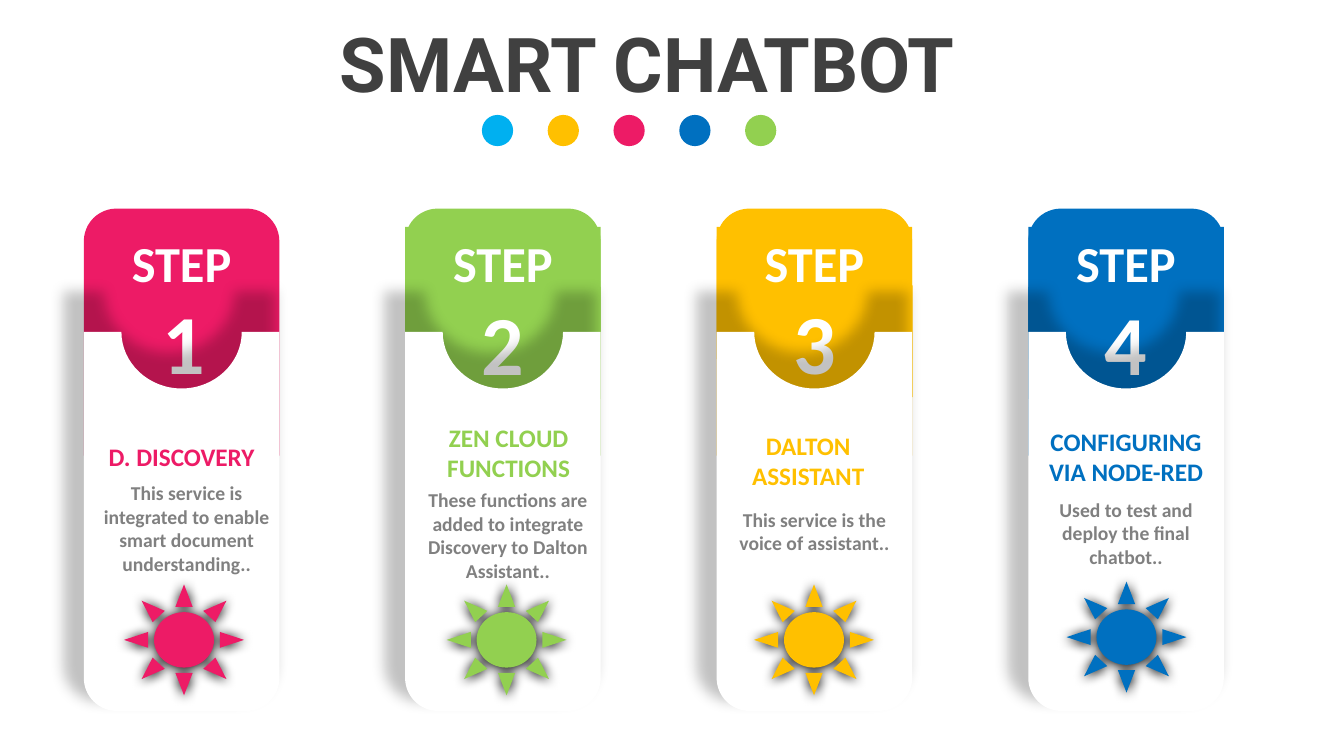
from collections import namedtuple

from lxml import etree
from pptx import Presentation
from pptx.dml.color import RGBColor
from pptx.enum.shapes import MSO_SHAPE
from pptx.enum.text import MSO_ANCHOR, PP_ALIGN
from pptx.oxml.ns import qn
from pptx.util import Pt

OVAL, RECTANGLE, SUN = MSO_SHAPE.OVAL, MSO_SHAPE.RECTANGLE, MSO_SHAPE.SUN
ROUND_TOP = MSO_SHAPE.ROUND_2_SAME_RECTANGLE
CENTER, TOP = PP_ALIGN.CENTER, MSO_ANCHOR.TOP

PINK = RGBColor(0xED, 0x1B, 0x66)
GREEN = RGBColor(0x92, 0xD0, 0x50)
AMBER = RGBColor(0xFF, 0xC0, 0x00)
BLUE = RGBColor(0x00, 0x70, 0xC0)
SKY = RGBColor(0x00, 0xB0, 0xF0)
WHITE = RGBColor(0xFF, 0xFF, 0xFF)
GREY = RGBColor(0x80, 0x80, 0x80)
DARK = RGBColor(0x40, 0x40, 0x40)

CARD_WIDTH = 139.7
PANEL_TOP, PANEL_BOTTOM = 237, 507.8
NOTCH_WIDTH, NOTCH_DEPTH, CORNER = 43, 40.5, 23.5
ROUNDNESS = 0.55  # control point distance of a quarter circle, in radii
UNITS = 100  # outline units in a point

# Positions are in points: (left, top) for the texts and the sun
Step = namedtuple("Step", "left color heading heading_at body body_at sun_at "
                          "number_at filled")
STEPS = [
    Step(59.9, PINK, "D. DISCOVERY", (59.9, 312),
         "This service is integrated to enable smart document understanding..",
         (63.5, 340), (88.6, 417.5), (61.2, 203.8), False),
    Step(289.4, GREEN, "ZEN CLOUD FUNCTIONS", (293.5, 298),
         "These functions are added to integrate Discovery to Dalton Assistant..",
         (293, 345), (319, 417.5), (289.4, 205), True),
    Step(511.9, AMBER, "DALTON ASSISTANT", (507.5, 304),
         "This service is the voice of assistant..",
         (512, 359), (538.6, 417.5), (512.3, 203.8), True),
    Step(734.5, BLUE, "CONFIGURING VIA NODE-RED", (734.5, 301),
         "Used to test and deploy the final chatbot..",
         (734.5, 352), (761.8, 415.5), (734.5, 205), True),
]


def set_text(shape, text, size, color, font="Calibri"):
    frame = shape.text_frame
    frame.text = text
    frame.word_wrap = True
    frame.vertical_anchor = TOP
    paragraph = frame.paragraphs[0]
    paragraph.alignment = CENTER
    run_font = paragraph.runs[0].font
    run_font.name, run_font.size, run_font.bold = font, Pt(size), True
    run_font.color.rgb = color


def paint(shape, color):
    shape.shadow.inherit = False
    shape.fill.solid()
    shape.fill.fore_color.rgb = color
    shape.line.fill.background()


def add_filled(slide, kind, left, top, width, height, color):
    shape = slide.shapes.add_shape(kind, Pt(left), Pt(top), Pt(width), Pt(height))
    paint(shape, color)
    return shape


def add_label(slide, position, height, text, size, color, fill=None):
    """Add centred text of card width, on a filled box if a fill is given."""
    left, top = position
    if fill is None:
        shape = slide.shapes.add_textbox(Pt(left), Pt(top), Pt(CARD_WIDTH), Pt(height))
    else:
        shape = add_filled(slide, RECTANGLE, left, top, CARD_WIDTH, height, fill)
    set_text(shape, text, size, color)


def add_shadow(shape, blur, opacity, distance, **settings):
    effects = shape._element.spPr.find(qn("a:effectLst"))
    shadow = etree.SubElement(effects, qn("a:outerShdw"), blurRad=str(Pt(blur)),
                              dist=str(Pt(distance)), rotWithShape="0", **settings)
    color = etree.SubElement(shadow, qn("a:srgbClr"), val="000000")
    etree.SubElement(color, qn("a:alpha"), val=str(opacity * 1000))


def quarter(start, corner, end):
    """Return the curve points after start, rounding the given corner."""
    controls = [tuple(p + (c - p) * ROUNDNESS for p, c in zip(point, corner))
                for point in (start, end)]
    return controls + [end]


def bend(shape, first_points):
    """Turn three line segments from each given index into one curve."""
    lines = list(shape._element.iter(qn("a:lnTo")))
    for first in first_points:
        curve = etree.Element(qn("a:cubicBezTo"))
        lines[first].addprevious(curve)
        for line in lines[first:first + 3]:
            curve.append(line[0])
            line.getparent().remove(line)


def add_panel(slide, left):
    """Add the white panel with a round notch and two round lower corners."""
    right, middle = left + CARD_WIDTH, left + CARD_WIDTH / 2
    notch_left, notch_right = middle - NOTCH_WIDTH, middle + NOTCH_WIDTH
    notch_bottom, corner_y = PANEL_TOP + NOTCH_DEPTH, PANEL_BOTTOM - CORNER
    points = [
        (left, PANEL_TOP), (notch_left, PANEL_TOP),
        *quarter((notch_left, PANEL_TOP), (notch_left, notch_bottom),
                 (middle, notch_bottom)),
        *quarter((middle, notch_bottom), (notch_right, notch_bottom),
                 (notch_right, PANEL_TOP)),
        (right, PANEL_TOP), (right, corner_y),
        *quarter((right, corner_y), (right, PANEL_BOTTOM),
                 (right - CORNER, PANEL_BOTTOM)),
        (left + CORNER, PANEL_BOTTOM),
        *quarter((left + CORNER, PANEL_BOTTOM), (left, PANEL_BOTTOM),
                 (left, corner_y)),
    ]
    start, *others = [(round(x * UNITS), round(y * UNITS)) for x, y in points]
    builder = slide.shapes.build_freeform(*start, scale=Pt(1) / UNITS)
    builder.add_line_segments(others, close=True)
    panel = builder.convert_to_shape()
    bend(panel, [1, 4, 9, 13])
    paint(panel, WHITE)
    add_shadow(panel, 10, 23, 8, dir="14700000", sx="108000", sy="108000", algn="br")


def add_step(slide, number, step):
    # Coloured head
    box_fill = step.color if step.filled else None
    add_filled(slide, ROUND_TOP, step.left, 149, CARD_WIDTH, 176.5, step.color)
    add_label(slide, (step.left, 162), 94.5, "STEP", 36, WHITE, box_fill)
    add_label(slide, step.number_at, 80, str(number), 60, WHITE, box_fill)
    # Panel with its texts
    add_panel(slide, step.left)
    add_label(slide, step.heading_at, 51, step.heading, 18, step.color)
    add_label(slide, step.body_at, 75, step.body, 14, GREY)
    # Sun
    sun = add_filled(slide, SUN, *step.sun_at, 85.7, 79.2, step.color)
    add_shadow(sun, 8.5, 100, 1, dir="5400000", algn="t")


def add_title(slide):
    title = slide.shapes.title
    title.left, title.top, title.width, title.height = Pt(195), Pt(8.5), Pt(535), Pt(73)
    set_text(title, "SMART CHATBOT", 54, DARK, "Roboto")


def main():
    presentation = Presentation()
    presentation.slide_width, presentation.slide_height = Pt(960), Pt(540)
    slide = presentation.slides.add_slide(presentation.slide_layouts[5])

    add_title(slide)
    for index, color in enumerate([SKY, AMBER, PINK, BLUE, GREEN]):
        add_filled(slide, OVAL, 344.2 + 47 * index, 82.1, 22.3, 22.3, color)
    for number, step in enumerate(STEPS, start=1):
        add_step(slide, number, step)

    presentation.save("out.pptx")


main()
